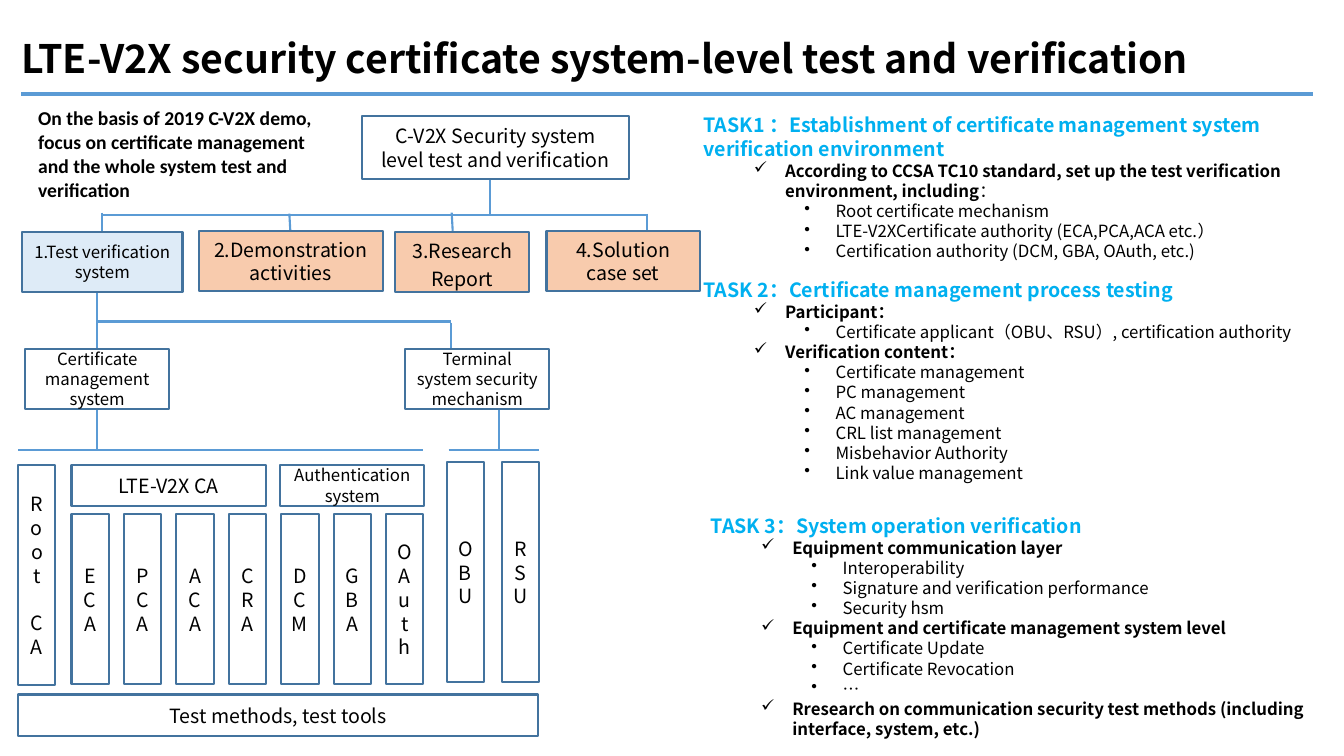
"""Builds the LTE-V2X security certificate test and verification slide."""
from dataclasses import dataclass

from lxml.etree import SubElement
from pptx import Presentation
from pptx.dml.color import RGBColor
from pptx.enum.shapes import MSO_CONNECTOR, MSO_SHAPE
from pptx.enum.text import MSO_ANCHOR, MSO_AUTO_SIZE, PP_ALIGN
from pptx.oxml.ns import qn
from pptx.util import Inches, Pt


@dataclass(frozen=True)
class Theme:
    """Colours, fonts and type sizes of the slide."""
    black: RGBColor = RGBColor.from_string("000000")
    heading: RGBColor = RGBColor.from_string("00B0F0")
    connector: RGBColor = RGBColor.from_string("5B9BD5")
    outline: RGBColor = RGBColor.from_string("43739E")
    pale_blue: RGBColor = RGBColor.from_string("DEEBF7")
    peach: RGBColor = RGBColor.from_string("F8CBAD")
    font: str = "Noto Sans CJK SC"
    note_font: str = "Calibri"
    title_size: int = 28
    large: int = 14
    small: int = 12


theme = Theme()
leading = {theme.title_size: 33, theme.large: 17, theme.small: 14.4}

deck = Presentation()
deck.slide_width, deck.slide_height = Inches(13.33), Inches(7.5)
page = deck.slides.add_slide(deck.slide_layouts[6])


def style(para, size, color=theme.black, bold=False, font=theme.font):
    """Set the font and line pitch of one paragraph."""
    para.font.name, para.font.size, para.font.bold = font, Pt(size), bold
    para.font.color.rgb = color
    para.line_spacing = Pt(leading[size])


def add_box(left, top, width, height, text, size=theme.large, fill=None):
    """Add an outlined rectangle with centred text."""
    box = page.shapes.add_shape(
        MSO_SHAPE.RECTANGLE, Inches(left), Inches(top), Inches(width), Inches(height))
    box.shadow.inherit = False
    box.line.color.rgb, box.line.width = theme.outline, Pt(1.5)
    if fill is None:
        box.fill.background()
    else:
        box.fill.solid()
        box.fill.fore_color.rgb = fill
    frame = box.text_frame
    frame.word_wrap, frame.vertical_anchor = True, MSO_ANCHOR.MIDDLE
    frame.text = text
    for para in frame.paragraphs:
        style(para, size)
        para.alignment = PP_ALIGN.CENTER
    return box


title = page.shapes.add_textbox(Inches(0.21), Inches(0.35), Inches(12.9), Inches(0.46))
frame = title.text_frame
frame.margin_left = frame.margin_right = frame.margin_top = frame.margin_bottom = 0
frame.word_wrap, frame.vertical_anchor = True, MSO_ANCHOR.MIDDLE
frame.text = "LTE-V2X security certificate system-level test and verification"
style(frame.paragraphs[0], theme.title_size, bold=True)

note = page.shapes.add_textbox(Inches(0.28), Inches(1), Inches(3.03), Inches(1.04))
note.text_frame.word_wrap = True
note.text_frame.text = ("On the basis of 2019 C-V2X demo, focus on certificate management "
                        "and the whole system test and verification")
style(note.text_frame.paragraphs[0], theme.large, bold=True, font=theme.note_font)

lines = [
    (0.21, 0.93, 13.02, 0.93, 3),
    (4.86, 1.78, 4.86, 2.12, 1.5),
    (1.01, 2.13, 6.42, 2.13, 1.5),
    (1.01, 2.11, 1.01, 2.3, 1.5),
    (2.87, 2.12, 2.88, 2.3, 1.5),
    (4.48, 2.11, 4.49, 2.29, 1.5),
    (6.42, 2.12, 6.42, 2.29, 1.5),
    (0.96, 2.88, 0.96, 3.46, 1.5),
    (0.96, 3.19, 4.47, 3.19, 1.5),
    (4.47, 3.2, 4.47, 3.47, 1.5),
    (0.96, 4.45, 0.96, 4.06, 1.5),
    (4.95, 4.46, 4.95, 4.07, 1.5),
    (0.18, 4.46, 4.2, 4.46, 1.5),
    (4.45, 4.46, 5.35, 4.46, 1.5),
]
for x1, y1, x2, y2, weight in lines:
    line = page.shapes.add_connector(
        MSO_CONNECTOR.STRAIGHT, Inches(x1), Inches(y1), Inches(x2), Inches(y2))
    line.line.color.rgb, line.line.width = theme.connector, Pt(weight)
    SubElement(line.element.spPr, qn("a:effectLst"))

add_box(3.59, 1.15, 2.65, 0.63, "C-V2X Security system level test and verification")
add_box(0.22, 2.3, 1.59, 0.6, "1.Test verification system", theme.small, theme.pale_blue)
add_box(1.97, 2.29, 1.83, 0.6, "2.Demonstration activities", fill=theme.peach)
report = add_box(3.92, 2.3, 1.33, 0.6, "3.Research Report", fill=theme.peach)
report.text_frame.paragraphs[0].line_spacing = Pt(20)
add_box(5.42, 2.29, 1.52, 0.6, "4.Solution case set", fill=theme.peach)
add_box(0.25, 3.46, 1.43, 0.6, "Certificate management system", theme.small)
add_box(4.02, 3.46, 1.43, 0.6, "Terminal system security mechanism", theme.small)
add_box(0.71, 4.61, 1.93, 0.41, "LTE-V2X CA")
add_box(2.78, 4.61, 1.43, 0.41, "Authentication system", theme.small)
add_box(0.18, 6.89, 5.16, 0.41, "Test methods, test tools")

root = add_box(0.18, 4.61, 0.37, 2.19, "Root\nCA")
root.text_frame.paragraphs[1].space_before = Pt(leading[theme.large])
for column, name in enumerate(["ECA", "PCA", "ACA", "CRA", "DCM", "GBA", "OAuth"]):
    add_box(0.71 + 0.52 * column, 5.1, 0.37, 1.69, name)
for column, name in enumerate(["OBU", "RSU"]):
    add_box(4.43 + 0.55 * column, 4.58, 0.37, 2.19, name)

tasks = [
    (6.88, 1.07, 1.58, 1,
     "TASK1 ：Establishment of certificate management system verification environment", [
         ("According to CCSA TC10 standard, set up the test verification environment, "
          "including", "：",
          ["Root certificate mechanism",
           "LTE-V2XCertificate authority (ECA,PCA,ACA etc.）",
           "Certification authority (DCM, GBA, OAuth, etc.)"]),
     ]),
    (6.88, 2.47, 2.39, 2, "TASK 2：Certificate management process testing", [
        ("Participant：", "",
         ["Certificate applicant（OBU、RSU）, certification authority"]),
        ("Verification content：", "",
         ["Certificate management", "PC management", "AC management",
          "CRL list management", "Misbehavior Authority", "Link value management"]),
    ]),
    (6.95, 4.81, 2.59, 2, "TASK 3：System operation verification", [
        ("Equipment communication layer", "",
         ["Interoperability", "Signature and verification performance", "Security hsm"]),
        ("Equipment and certificate management system level", "",
         ["Certificate Update", "Certificate Revocation", "…"]),
        ("Rresearch on communication security test methods "
         "(including interface, system, etc.)", "", []),
    ]),
]
for left, top, height, pitch, heading, topics in tasks:
    box = page.shapes.add_textbox(Inches(left), Inches(top), Inches(6.67), Inches(height))
    frame = box.text_frame
    frame.word_wrap, frame.auto_size = True, MSO_AUTO_SIZE.SHAPE_TO_FIT_TEXT
    frame.text = heading
    style(frame.paragraphs[0], theme.large, theme.heading, True)
    frame.paragraphs[0].line_spacing = Pt(pitch * leading[theme.large])
    for topic, ending, details in topics:
        entries = [(topic, ending, 1, "✓")] + [(detail, "", 2, "•") for detail in details]
        for text, tail, level, mark in entries:
            para = frame.add_paragraph()
            para.level = level
            style(para, theme.small, bold=level == 1)
            para.add_run().text = text
            if tail:
                span = para.add_run()
                span.text, span.font.bold = tail, False
            properties = para._p.get_or_add_pPr()
            properties.set("marL", str(Inches(0.31 + 0.5 * level)))
            properties.set("indent", str(Inches(-0.31)))
            bullet = properties.makeelement(qn("a:buChar"), {"char": mark})
            properties.find(qn("a:defRPr")).addprevious(bullet)

deck.save("out.pptx")
